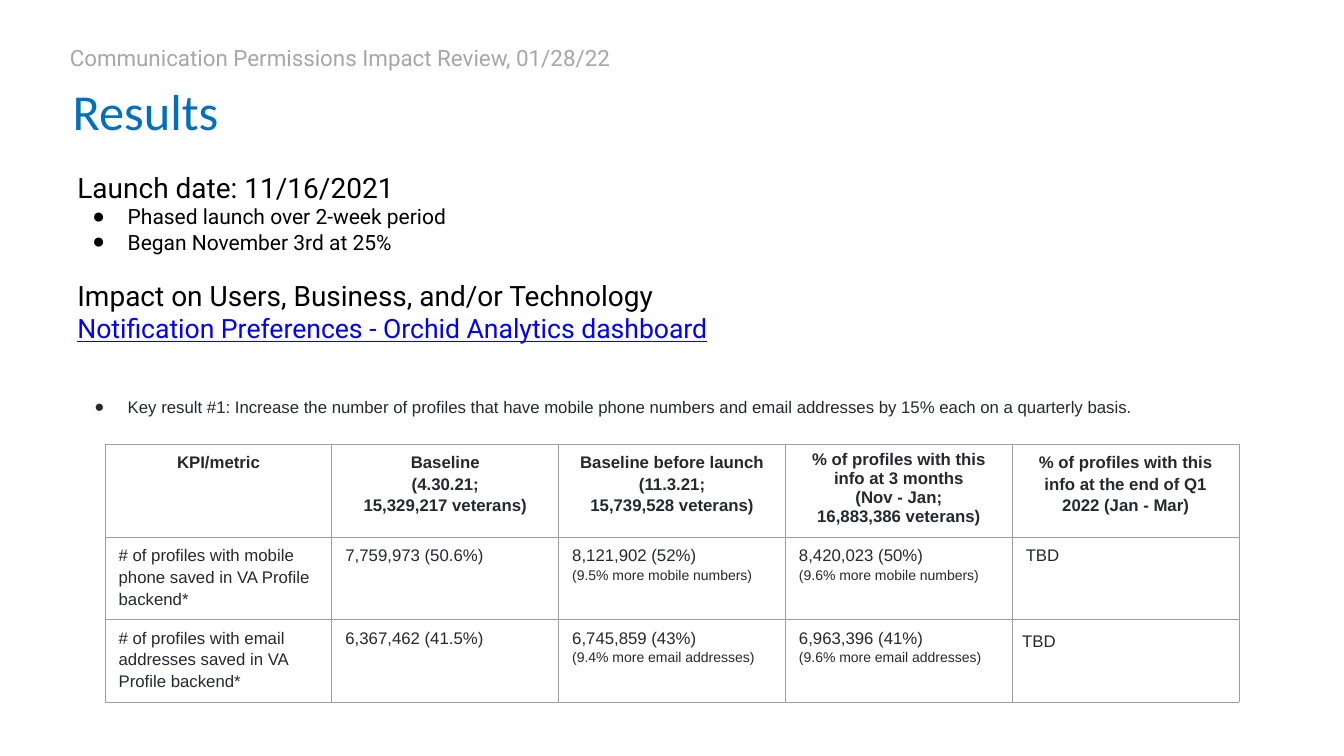
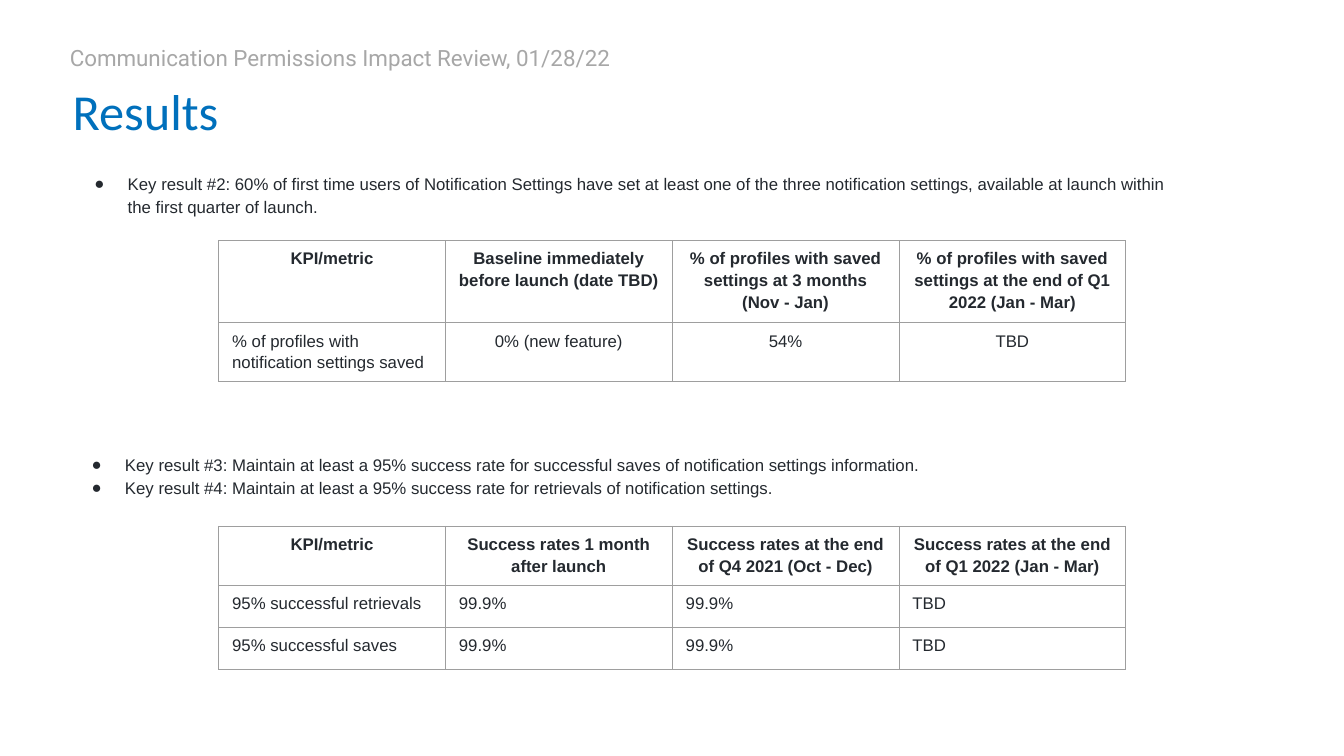
"""Build two results slides for a communication permissions impact review."""
import pptx
import pptx.dml.color
import pptx.enum.text
import pptx.oxml
import pptx.oxml.ns
import pptx.util
from pptx.util import Cm, Pt

RGB = pptx.dml.color.RGBColor
BLUE = RGB(0x00, 0x70, 0xBC)
GREY = RGB(0xA7, 0xA7, 0xA7)
BLACK = RGB(0x00, 0x00, 0x00)
LINK = RGB(0x00, 0x00, 0xFF)
INK = RGB(0x24, 0x29, 0x2F)
BORDER = RGB(0x9E, 0x9E, 0x9E)

NS = pptx.oxml.ns.nsdecls("a")
LEFT = pptx.enum.text.PP_ALIGN.LEFT
CENTER = pptx.enum.text.PP_ALIGN.CENTER
TOP = pptx.enum.text.MSO_ANCHOR.TOP
MIDDLE = pptx.enum.text.MSO_ANCHOR.MIDDLE
COL_WIDTH = Cm(5.715)

PLAIN = {"alignment": LEFT}
LOOSE = {"alignment": LEFT, "line_spacing": 1.15}
MID = {"alignment": CENTER, "line_spacing": 1.15}
ROBOTO = {"name": "Roboto", "size": Pt(20)}
ARIAL = {"name": "Arial", "size": Pt(12), "bold": False}
STYLES = {
    "title": (PLAIN, {"name": "Calibri", "size": Pt(36)}, BLUE, None),
    "subtitle": ({**PLAIN, "line_spacing": 1.2}, {**ROBOTO, "size": Pt(16)}, GREY, None),
    "heading": (PLAIN, ROBOTO, BLACK, None),
    "next heading": ({**PLAIN, "space_before": Pt(17.5)}, ROBOTO, BLACK, None),
    "point": (PLAIN, {**ROBOTO, "size": Pt(15)}, BLACK, Cm(0.89)),
    "link": (PLAIN, {**ROBOTO, "size": Pt(19), "underline": True}, LINK, None),
    "key result": (LOOSE, ARIAL, INK, Cm(0.84)),
    "later result": ({**LOOSE, "space_before": Pt(35)}, ARIAL, INK, Cm(0.84)),
    "header": (MID, {**ARIAL, "bold": True}, INK, None),
    "cell": (LOOSE, ARIAL, INK, None),
    "centred": (MID, ARIAL, INK, None),
    "note": (LOOSE, {**ARIAL, "size": Pt(10)}, INK, None),
}


def write(tf, lines, margin_x, margin_y):
    """Fill a text frame or a cell with (text, style) lines."""
    frame = {"word_wrap": True, "margin_left": margin_x, "margin_right": margin_x,
             "margin_top": margin_y, "margin_bottom": margin_y}
    for key, value in frame.items():
        setattr(tf, key, value)
    tf = getattr(tf, "text_frame", tf)
    for i, (text, style) in enumerate(lines):
        para, font, color, hanging = STYLES[style]
        p = tf.add_paragraph() if i else tf.paragraphs[0]
        if hanging:
            pPr = p._p.get_or_add_pPr()
            pPr.set("marL", str(Cm(1.27)))
            pPr.set("indent", str(-hanging))
            for xml in (f'<a:buClr {NS}><a:srgbClr val="{color}"/></a:buClr>',
                        f'<a:buFont {NS} typeface="Arial"/>',
                        f'<a:buChar {NS} char="●"/>'):
                pPr.append(pptx.oxml.parse_xml(xml))
        for key, value in para.items():
            setattr(p, key, value)
        r = p.add_run()
        r.text = text
        for key, value in font.items():
            setattr(r.font, key, value)
        r.font.color.rgb = color


def add_table(s, left, top, heights, rows, body="cell"):
    """Add a bordered table whose first row is the header."""
    table = s.shapes.add_table(len(rows), len(rows[0]), left, top,
                               COL_WIDTH * len(rows[0]), sum(heights)).table
    table.horz_banding = False
    for col in table.columns:
        col.width = COL_WIDTH
    for i, row in enumerate(rows):
        table.rows[i].height = heights[i]
        for j, text in enumerate(row):
            cell = table.cell(i, j)
            first, rest = ("header", "header") if i == 0 else (body if j else "cell", "note")
            lines = [(line, rest if k else first) for k, line in enumerate(text.split("\n"))]
            write(cell, lines, Cm(0.34), Cm(0.16))
            tcPr = cell._tc.get_or_add_tcPr()
            for side in ("lnL", "lnR", "lnT", "lnB"):
                tcPr.append(pptx.oxml.parse_xml(
                    f'<a:{side} {NS} w="{Pt(0.75)}"><a:solidFill><a:srgbClr val="{BORDER}"/>'
                    f'</a:solidFill></a:{side}>'))
            cell.fill.background()
    return table


prs = pptx.Presentation()
prs.slide_width, prs.slide_height = Cm(33.87), Cm(19.05)

text_boxes = [
    [((1.7, 4.04, 28.58, 8.33), [
        ("Launch date: 11/16/2021", "heading"),
        ("Phased launch over 2-week period", "point"),
        ("Began November 3rd at 25%", "point"),
        ("Impact on Users, Business, and/or Technology", "next heading"),
        ("Notification Preferences - Orchid Analytics dashboard", "link"),
        ("Key result #1: Increase the number of profiles that have mobile phone numbers "
         "and email addresses by 15% each on a quarterly basis.", "later result")])],
    [((1.7, 4.04, 28.58, 1.83), [
        ("Key result #2: 60% of first time users of Notification Settings have set at least "
         "one of the three notification settings, available at launch within the first "
         "quarter of launch.", "key result")]),
     ((1.63, 11.13, 28.63, 1.63), [
         ("Key result #3: Maintain at least a 95% success rate for successful saves of "
          "notification settings information.", "key result"),
         ("Key result #4: Maintain at least a 95% success rate for retrievals of "
          "notification settings.", "key result")])],
]

for boxes in text_boxes:
    s = prs.slides.add_slide(prs.slide_layouts[5])
    title = s.shapes.title
    title.left, title.top, title.width, title.height = Cm(1.7), Cm(1.9), Cm(27.94), Cm(1.68)
    tf = title.text_frame
    tf.auto_size = pptx.enum.text.MSO_AUTO_SIZE.NONE
    tf.vertical_anchor = TOP
    write(tf, [("Results", "title")], Cm(0.13), Cm(0.13))
    tf = s.shapes.add_textbox(Cm(1.63), Cm(0.89), Cm(19), Cm(0.99)).text_frame
    tf.vertical_anchor = MIDDLE
    write(tf, [("Communication Permissions Impact Review, 01/28/22", "subtitle")],
          Cm(0.13), Cm(0.13))
    for box, lines in boxes:
        tf = s.shapes.add_textbox(*map(Cm, box)).text_frame
        write(tf, lines, Cm(0.25), Cm(0.25))

launch, settings = prs.slides
table = add_table(launch, Cm(2.65), Cm(11.19), [Cm(2.22), Cm(1.96), Cm(1.96)], [
    ["KPI/metric", "Baseline\n(4.30.21;\n15,329,217 veterans)",
     "Baseline before launch\n(11.3.21;\n15,739,528 veterans)",
     "% of profiles with this info at 3 months\n(Nov - Jan;\n16,883,386 veterans)",
     "% of profiles with this info at the end of Q1 2022 (Jan - Mar)"],
    ["# of profiles with mobile phone saved in VA Profile backend*", "7,759,973 (50.6%)",
     "8,121,902 (52%)\n(9.5% more mobile numbers)",
     "8,420,023 (50%)\n(9.6% more mobile numbers)", "TBD"],
    ["# of profiles with email addresses saved in VA Profile backend*", "6,367,462 (41.5%)",
     "6,745,859 (43%)\n(9.4% more email addresses)",
     "6,963,396 (41%)\n(9.6% more email addresses)", "TBD"],
])
for p in table.cell(0, 3).text_frame.paragraphs:
    p.line_spacing = 1.0
last = table.cell(2, 4)
last.margin_left = last.margin_top = Cm(0.25)

add_table(settings, Cm(5.51), Cm(6.06), [Cm(1.97), Cm(1.42)], [
    ["KPI/metric", "Baseline immediately before launch (date TBD)",
     "% of profiles with saved settings at 3 months (Nov - Jan)",
     "% of profiles with saved settings at the end of Q1 2022 (Jan - Mar)"],
    ["% of profiles with notification settings saved", "0% (new feature)", "54%", "TBD"],
], body="centred")
add_table(settings, Cm(5.51), Cm(13.26), [Cm(1.49), Cm(1.06), Cm(1.06)], [
    ["KPI/metric", "Success rates 1 month after launch",
     "Success rates at the end of Q4 2021 (Oct - Dec)",
     "Success rates at the end of Q1 2022 (Jan - Mar)"],
    ["95% successful retrievals", "99.9%", "99.9%", "TBD"],
    ["95% successful saves", "99.9%", "99.9%", "TBD"],
])

prs.save("out.pptx")
